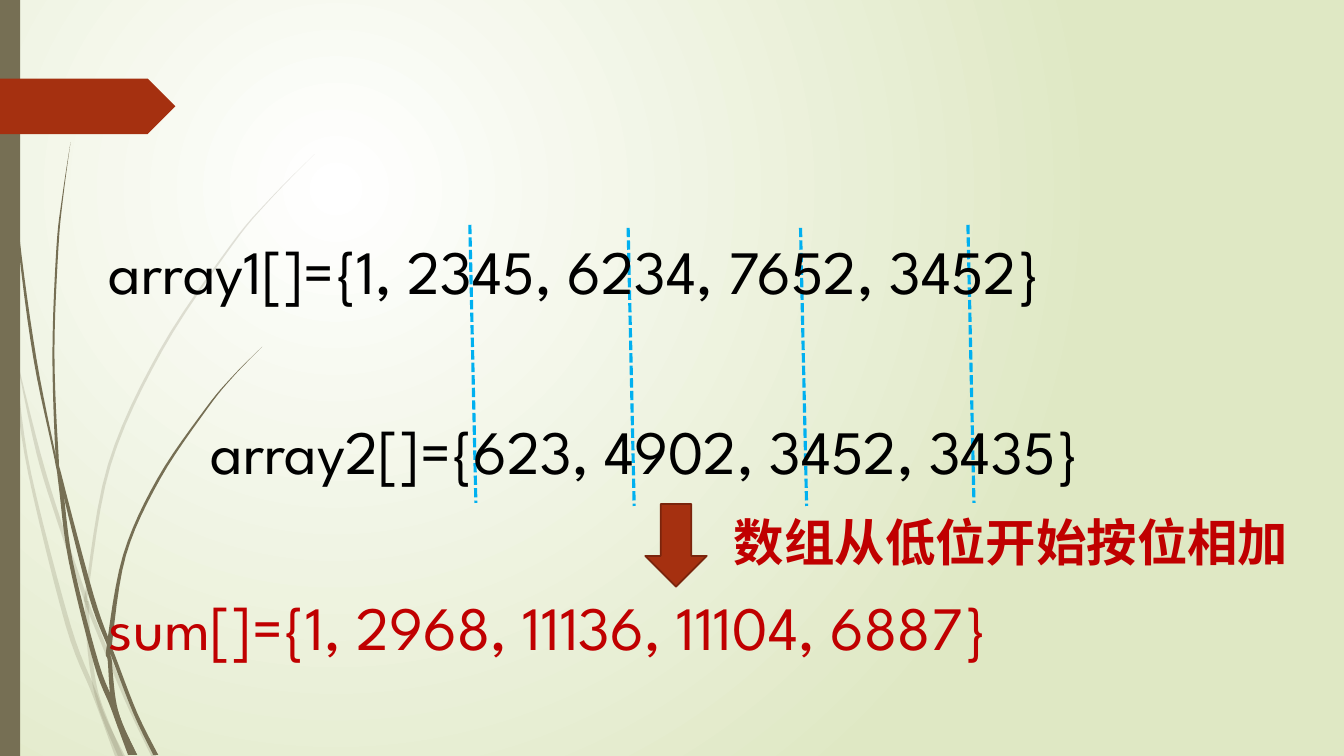
from pptx import Presentation
from pptx.util import Inches, Pt
from pptx.dml.color import RGBColor
from pptx.enum.dml import MSO_LINE as Dash
from pptx.enum.shapes import MSO_SHAPE as Shape, MSO_CONNECTOR as Link
from pptx.enum.text import MSO_AUTO_SIZE as Fit
from pptx.oxml import parse_xml
from pptx.oxml.ns import qn, nsdecls
from lxml.etree import SubElement as Sub


def color(code):
    return RGBColor.from_string(code)


def smooth(spots, steps):
    ends = [spots[0], *spots, spots[-1]]
    curve = []
    for a, b, c, d in zip(ends, ends[1:], ends[2:], ends[3:]):
        for i in range(steps):
            t = i / steps
            curve.append([q + t * (r - p + t * (2 * p - 5 * q + 4 * r - s + t * (3 * q - p - 3 * r + s))) / 2
                          for p, q, r, s in zip(a, b, c, d)])
    return curve + [spots[-1]]


deck = Presentation()
deck.slide_width, deck.slide_height = Inches(13.33), Inches(7.5)
slide = deck.slides.add_slide(deck.slide_layouts[6])
shapes = slide.shapes

back = slide.background.fill
back.gradient()
for stop, code in zip(back.gradient_stops, ["FFFFFF", "DFE8C4"]):
    stop.color.rgb = color(code)
grad = slide.element.find(".//" + qn("a:gradFill"))
grad.replace(grad.find(qn("a:lin")), parse_xml(
    f'<a:path {nsdecls("a")} path="circle">'
    '<a:fillToRect l="50000" t="50000" r="100000" b="100000"/></a:path>'))

pale = [
    ([2, 7], [(0, 2.82, 0), (0.05, 3.22, 0.04), (0.1, 3.5, 0.02), (0.14, 3.76, 0.03),
              (0.28, 4.7, 0.03), (0.65, 6.2, 0.05), (0.9, 6.85, 0.05), (1.01, 7.14, 0.05),
              (1.14, 7.5, 0.1)]),
    ([3], [(0.14, 3.45, 0), (0.36, 4.49, 0.04), (0.58, 5.21, 0.04), (0.84, 5.97, 0.04),
           (0.88, 6.08, 0.04), (1.23, 6.93, 0.04), (1.5, 7.5, 0.05)]),
    ([6, 8], [(3.12, 1.53, 0), (2.68, 1.97, 0.01), (2.28, 2.44, 0.02), (1.58, 3.48, 0.03),
              (1.07, 4.61, 0.03), (0.85, 5.84, 0.03), (0.84, 6, 0.04), (0.87, 6.46, 0.04),
              (0.93, 6.85, 0.04), (1.02, 7.14, 0.05), (1.17, 7.5, 0.05)]),
]
dark = [
    ([5, 9], [(0.03, 0, 0.01), (0.07, 1.1, 0.01), (0.17, 2.33, 0.02), (0.33, 3.55, 0.03),
              (0.54, 4.55, 0.02), (0.58, 4.8, 0.04), (0.68, 5.56, 0.04), (0.93, 6.58, 0.05),
              (1.09, 7, 0.06), (1.17, 7.22, 0.06), (1.27, 7.49, 0.09)]),
    ([5, 7], [(0.7, 1.41, 0), (0.62, 1.93, 0.01), (0.56, 2.45, 0.02), (0.52, 3.49, 0.02),
              (0.55, 4.5, 0.03), (0.59, 4.75, 0.03), (0.88, 5.91, 0.05), (1.07, 6.42, 0.04),
              (1.1, 6.5, 0.04), (1.32, 7.07, 0.04), (1.52, 7.49, 0.05)]),
    ([5, 8], [(2.6, 3.44, 0), (2.31, 3.73, 0.01), (2.04, 4.05, 0.02), (1.56, 4.75, 0.03),
              (1.22, 5.51, 0.03), (1.06, 6.4, 0.05), (1.07, 6.56, 0.04), (1.1, 6.95, 0.05),
              (1.17, 7.19, 0.05), (1.31, 7.49, 0.05)]),
]
steps = 6
for blades, alpha in [(pale, 20000), (dark, 100000)]:
    for cuts, blade in blades:
        curve = smooth(blade, steps)
        for start, end in zip([0, *cuts], [*cuts, len(blade) - 1]):
            part = curve[start * steps:end * steps + 1]
            edge = [(x, y) for x, y, w in part] + [(x + w, y) for x, y, w in reversed(part)]
            rim = [(Inches(x), Inches(y)) for x, y in edge]
            pen = shapes.build_freeform(*rim[0])
            pen.add_line_segments(rim[1:])
            stem = pen.convert_to_shape()
            stem.shadow.inherit = False
            stem.fill.solid()
            stem.fill.fore_color.rgb = color("766F54")
            stem.line.fill.background()
            if alpha < 100000:
                tint = stem.element.spPr.find(".//" + qn("a:srgbClr"))
                Sub(tint, qn("a:alpha")).set("val", str(alpha))

for kind, spot, code in [
    (Shape.RECTANGLE, (0, 0, 0.2, 7.5), "766F54"),
    (Shape.PENTAGON, (0, 0.78, 1.74, 0.55), "A53010"),
    (Shape.DOWN_ARROW, (6.4, 5, 0.61, 0.82), "A53010"),
]:
    part = shapes.add_shape(kind, *map(Inches, spot))
    part.shadow.inherit = False
    part.fill.solid()
    part.fill.fore_color.rgb = color(code)
    if kind == Shape.DOWN_ARROW:
        part.line.color.rgb = color("7A240C")
        part.line.width = Pt(1.25)
    else:
        part.line.fill.background()

for x, y in [(9.6, 2.23), (7.94, 2.26), (6.23, 2.26), (4.66, 2.23)]:
    rule = shapes.add_connector(Link.STRAIGHT, *map(Inches, (x, y, x + 0.06, y + 2.76)))
    rule.line.color.rgb = color("00B0F0")
    rule.line.width = Pt(2.25)
    rule.line.dash_style = Dash.SQUARE_DOT
    Sub(rule.element.spPr, qn("a:effectLst"))

for words, spot, size, code, bold in [
    ("数组从低位开始按位相加", (7.18, 5.02, 5.94, 0.71), 36, "C00000", True),
    ("sum[]={1, 2968, 11136, 11104, 6887}", (0.98, 5.79, 12.1, 0.85), 44, "C00000", False),
    ("array1[]={1, 2345, 6234, 7652, 3452}", (0.98, 2.26, 11.66, 0.85), 44, "000000", False),
    ("array2[]={623, 4902, 3452, 3435}", (1.99, 4.05, 11.2, 0.85), 44, "000000", False),
]:
    frame = shapes.add_textbox(*map(Inches, spot)).text_frame
    frame.word_wrap = True
    if bold:
        frame.auto_size = Fit.SHAPE_TO_FIT_TEXT
    run = frame.paragraphs[0].add_run()
    run.text = words
    run.font.name = "League Spartan"
    run.font.size = Pt(size)
    run.font.bold = bold
    run.font.color.rgb = color(code)

deck.save("out.pptx")
